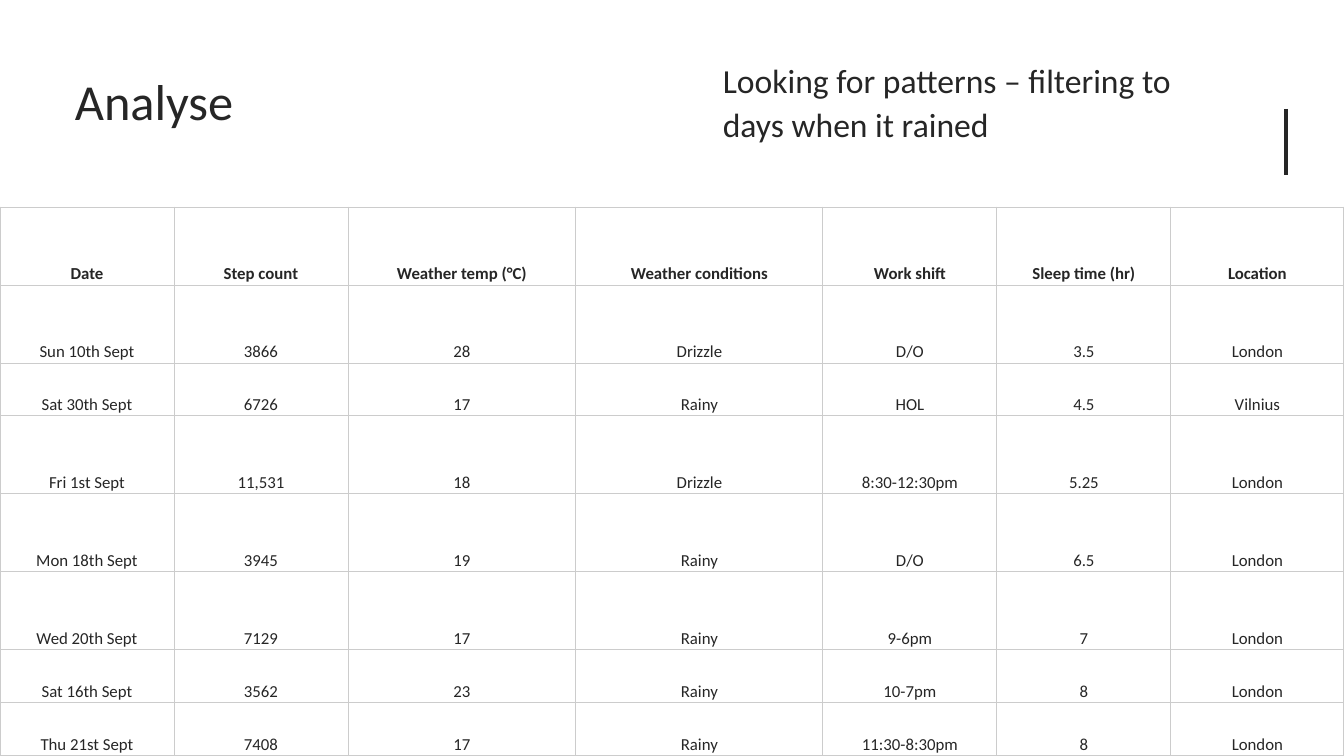
from lxml.etree import SubElement
from pptx import Presentation
from pptx.dml.color import RGBColor as RGB
from pptx.enum.shapes import MSO_CONNECTOR as CONNECTOR, MSO_SHAPE as SHAPE
from pptx.enum.text import MSO_ANCHOR as ANCHOR, PP_ALIGN as ALIGN
from pptx.oxml.ns import qn
from pptx.util import Pt

THEME = {
    "font": "Calibri",
    "paper": RGB.from_string("FFFFFF"),
    "ink": RGB.from_string("262626"),
    "grid": "CCCCCC",
    "title": Pt(36),
    "subtitle": Pt(24),
    "cell": Pt(12),
    "rule": Pt(3),
    "border": Pt(0.75),
}
SCALE = 914400 / 100.8
WIDTH, HEIGHT, HEADER = 1344, 756, 207


def px(*lengths):
    return [round(n * SCALE) for n in lengths]


def style(p, size, bold=False):
    for r in p.runs:
        r.font.name = THEME["font"]
        r.font.size = size
        r.font.bold = bold
        r.font.color.rgb = THEME["ink"]


prs = Presentation()
prs.slide_width, prs.slide_height = px(WIDTH, HEIGHT)
s = prs.slides.add_slide(prs.slide_layouts[6])
s.background.fill.solid()
s.background.fill.fore_color.rgb = THEME["paper"]

band = s.shapes.add_shape(SHAPE.RECTANGLE, *px(0, 0, WIDTH, HEADER))
band.shadow.inherit = False
band.fill.solid()
band.fill.fore_color.rgb = THEME["paper"]
band.line.fill.background()

headings = [
    ("Analyse", 65, 604, "title", 1.0, 0),
    ("Looking for patterns – filtering to days when it rained", 713, 504, "subtitle", 1.1, 10),
]
for text, left, width, size, spacing, before in headings:
    tf = s.shapes.add_textbox(*px(left, 32, width, 136)).text_frame
    tf.word_wrap = True
    tf.vertical_anchor = ANCHOR.MIDDLE
    tf.text = text
    p = tf.paragraphs[0]
    p.line_spacing = spacing
    p.space_before = Pt(before)
    style(p, THEME[size])

rule = s.shapes.add_connector(CONNECTOR.STRAIGHT, *px(1286, 109, 1286, 175))
rule.line.color.rgb = THEME["ink"]
rule.line.width = THEME["rule"]
SubElement(rule._element.spPr, qn("a:effectLst"))

days = [
    ("Date", "Step count", "Weather temp (°C)", "Weather conditions", "Work shift", "Sleep time (hr)", "Location"),
    ("Sun 10th Sept", "3866", "28", "Drizzle", "D/O", "3.5", "London"),
    ("Sat 30th Sept", "6726", "17", "Rainy", "HOL", "4.5", "Vilnius"),
    ("Fri 1st Sept", "11,531", "18", "Drizzle", "8:30-12:30pm", "5.25", "London"),
    ("Mon 18th Sept", "3945", "19", "Rainy", "D/O", "6.5", "London"),
    ("Wed 20th Sept", "7129", "17", "Rainy", "9-6pm", "7", "London"),
    ("Sat 16th Sept", "3562", "23", "Rainy", "10-7pm", "8", "London"),
    ("Thu 21st Sept", "7408", "17", "Rainy", "11:30-8:30pm", "8", "London"),
]
col_widths = px(174, 174, 228, 247, 174, 174, 173)
row_heights = px(78, 78, 53, 78, 78, 78, 53, 53)

table = s.shapes.add_table(
    len(days), len(days[0]), *px(0, HEADER, WIDTH, HEIGHT - HEADER)
).table
table.first_row = False
table.horz_banding = False
for col, width in zip(table.columns, col_widths):
    col.width = width
for row, height in zip(table.rows, row_heights):
    row.height = height

for i, day in enumerate(days):
    for j, text in enumerate(day):
        cell = table.cell(i, j)
        cell.text = text
        cell.vertical_anchor = ANCHOR.BOTTOM
        cell.margin_left, cell.margin_top, cell.margin_right, cell.margin_bottom = px(2, 1, 2, 1)
        p = cell.text_frame.paragraphs[0]
        p.alignment = ALIGN.CENTER
        style(p, THEME["cell"], bold=i == 0)
        tcPr = cell._tc.get_or_add_tcPr()
        for side in ("a:lnL", "a:lnR", "a:lnT", "a:lnB"):
            ln = SubElement(tcPr, qn(side), w=str(THEME["border"]))
            fill = SubElement(ln, qn("a:solidFill"))
            SubElement(fill, qn("a:srgbClr"), val=THEME["grid"])
        cell.fill.background()

prs.save("out.pptx")
